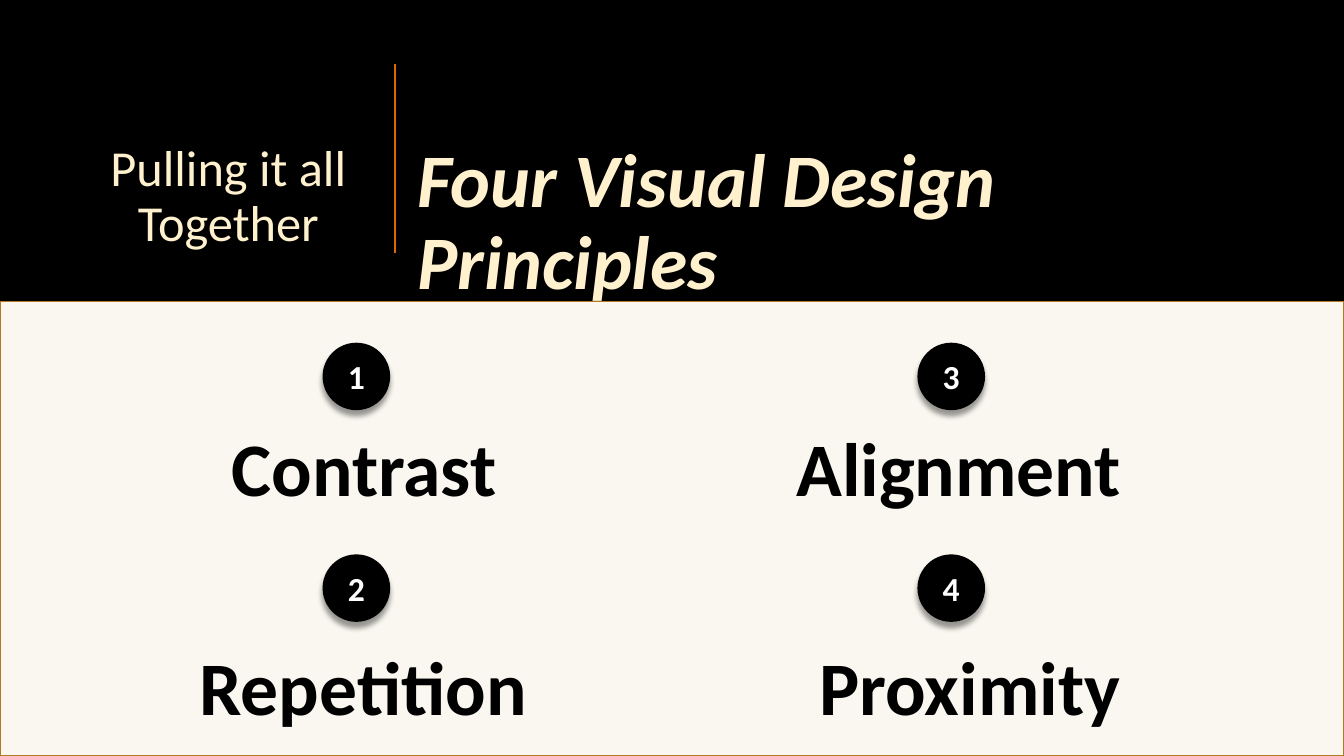
import pptx
import pptx.util
import pptx.dml.color
import pptx.enum.shapes
import pptx.enum.text
import pptx.oxml
import pptx.oxml.ns

RGBColor = pptx.dml.color.RGBColor
BLACK = RGBColor(0x00, 0x00, 0x00)
WHITE = RGBColor(0xFF, 0xFF, 0xFF)
CREAM = RGBColor(0xFF, 0xF1, 0xCD)
PAPER = RGBColor(0xFA, 0xF7, 0xF0)
BROWN = RGBColor(0xB2, 0x78, 0x22)
ORANGE = RGBColor(0xE0, 0x68, 0x00)

Pt = pptx.util.Pt
Align = pptx.enum.text.PP_ALIGN
Anchor = pptx.enum.text.MSO_ANCHOR
Shape = pptx.enum.shapes.MSO_SHAPE

deck = pptx.Presentation()
deck.slide_width = pptx.util.Inches(13.33)
deck.slide_height = pptx.util.Inches(7.5)
slide = deck.slides.add_slide(deck.slide_layouts[0])
slide.background.fill.solid()
slide.background.fill.fore_color.rgb = BLACK
shapes = slide.shapes


def box(left, top, width, height):
    col, row = deck.slide_width / 100, deck.slide_height / 100
    return [round(n) for n in (left * col, top * row, width * col, height * row)]


def write(shape, text, color, font, para={}, frame={}):
    body = shape.text_frame
    body.text = text
    line = body.paragraphs[0]
    base = {"word_wrap": True, "auto_size": pptx.enum.text.MSO_AUTO_SIZE.NONE}
    for part, style in (
        (body, {**base, **frame}),
        (line, {"space_before": Pt(0), **para}),
        (line.runs[0].font, {"name": "Calibri", **font}),
    ):
        for key, value in style.items():
            setattr(part, key, value)
    line.runs[0].font.color.rgb = color


panel = shapes.add_shape(Shape.RECTANGLE, *box(0, 39.87, 100, 60.13))
panel.shadow.inherit = False
panel.fill.solid()
panel.fill.fore_color.rgb = PAPER
panel.line.color.rgb = BROWN
panel.line.width = Pt(1)
shapes._spTree.insert(2, panel._element)

title, sub = shapes.title, slide.placeholders[1]
spots = (
    (title, box(30.3, 18.13, 66.92, 12.13)),
    (sub, box(2.78, 16.67, 28.43, 18.27)),
)
for shape, spot in spots:
    shape.left, shape.top, shape.width, shape.height = spot
write(title, "Four Visual Design Principles", CREAM,
      {"size": Pt(54), "bold": True, "italic": True},
      {"alignment": Align.LEFT, "line_spacing": 0.9},
      {"vertical_anchor": Anchor.TOP})
write(sub, "Pulling it all Together", CREAM, {"size": Pt(36)},
      {"alignment": Align.CENTER, "line_spacing": 0.9},
      {"vertical_anchor": Anchor.BOTTOM, "margin_bottom": pptx.util.Inches(0.12)})

x, top, _, end = box(29.41, 8.53, 0, 33.47)
rule = shapes.add_connector(pptx.enum.shapes.MSO_CONNECTOR.STRAIGHT, x, top, x, end)
rule.line.color.rgb = ORANGE
rule.line.width = Pt(1.5)
rule._element.spPr.append(pptx.oxml.parse_xml(
    f"<a:effectLst {pptx.oxml.ns.nsdecls('a')}/>"))

SHADE = (
    f"<a:effectLst {pptx.oxml.ns.nsdecls('a')}>"
    '<a:outerShdw blurRad="50800" dist="50800" dir="5400000" algn="t" rotWithShape="0">'
    '<a:srgbClr val="000000"><a:alpha val="40000"/></a:srgbClr>'
    "</a:outerShdw></a:effectLst>"
)

words = (
    ("Contrast", 16.5, 22.73),
    ("Repetition", 14.1, 27.31),
    ("Alignment", 58.51, 27.46),
    ("Proximity", 60.24, 25.66),
)
for index, (word, left, width) in enumerate(words):
    col, row = divmod(index, 2)
    label = shapes.add_textbox(*box(left, 55.07 + 28.93 * row, width, 13.47))
    write(label, word, BLACK, {"size": Pt(54), "bold": True})

    dot = shapes.add_shape(
        Shape.OVAL, *box(24 + 44.26 * col, 45.33 + 28 * row, 5.03, 8.93))
    dot.fill.solid()
    dot.fill.fore_color.rgb = BLACK
    dot.line.fill.background()
    dot._element.spPr.append(pptx.oxml.parse_xml(SHADE))
    write(dot, str(index + 1), WHITE, {"size": Pt(24), "bold": True},
          {"alignment": Align.CENTER}, {"vertical_anchor": Anchor.MIDDLE})

deck.save("out.pptx")
